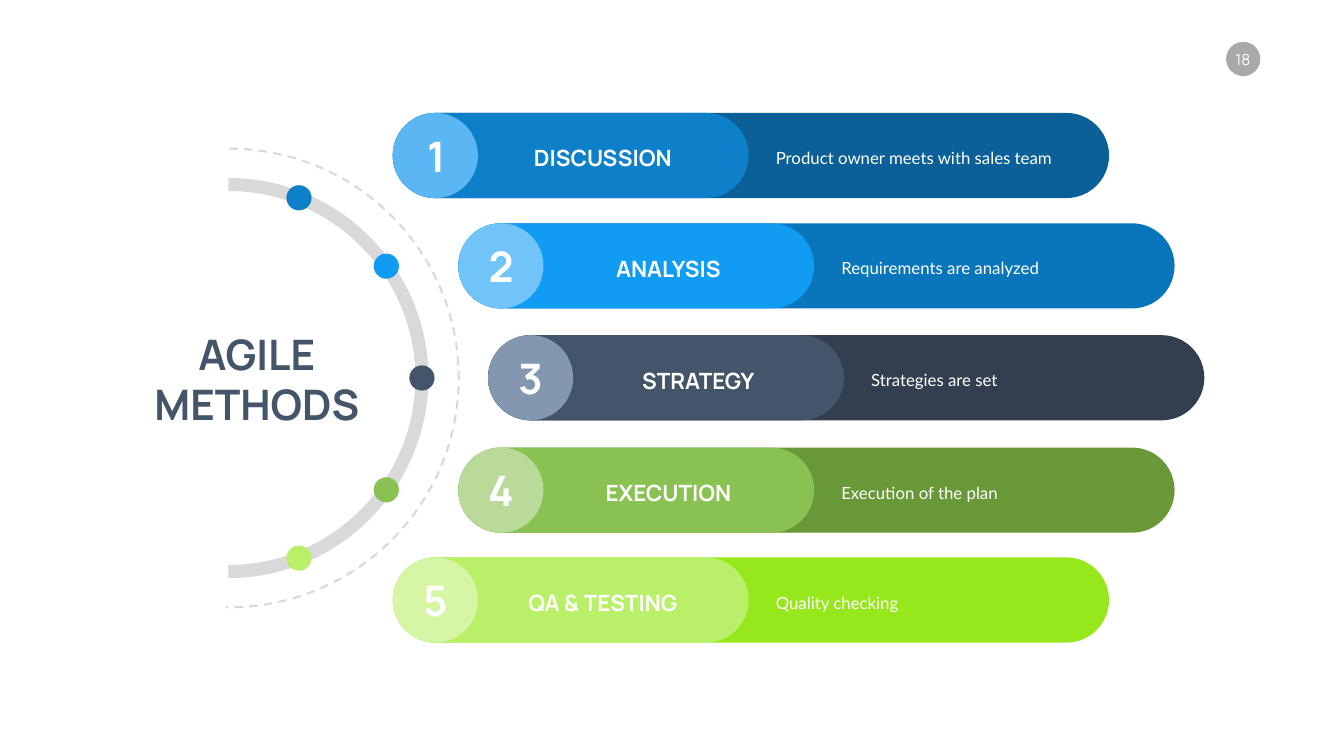
from math import cos, radians, sin

from lxml.etree import SubElement
from pptx import Presentation
from pptx.dml.color import RGBColor
from pptx.enum.dml import MSO_LINE as Dash
from pptx.enum.shapes import MSO_SHAPE as Kind
from pptx.enum.text import MSO_ANCHOR as Anchor, MSO_AUTO_SIZE as Fit, PP_ALIGN as Align
from pptx.oxml.ns import qn
from pptx.util import Pt

PX = 9144  # EMU per px, 100 px to the inch
HEAD, BODY = "Manrope", "Lato"
WHITE, GREY, SLATE = "FFFFFF", "D9D9D9", "445469"

MID_X, MID_Y = 453, 750  # centre of the ring
OUTER, INNER, TRACK = 397, 371, 384
BEND = 0.55  # handle length of a quarter circle
DOT = 50
PILL_W, TAB_W, PILL_H = 1421, 706, 169

# number and its width, title and its width, note, left, top, dot angle,
# colours of pill, tab and disc
STEPS = [
    ("1", 52, "DISCUSSION", 297, "Product owner meets with sales team",
     779, 224, -68.6, "0A6097", "0E80C9", "5AB7F3"),
    ("2", 68, "ANALYSIS", 240, "Requirements are analyzed",
     909, 443, -35.3, "0976BB", "119CF4", "70C4F8"),
    ("3", 71, "STRATEGY", 252, "Strategies are set",
     968, 665, 0, "333F4F", SLATE, "8497B0"),
    ("4", 77, "EXECUTION", 275, "Execution of the plan",
     909, 888, 35.3, "689837", "8AC153", "B9DA98"),
    ("5", 71, "QA & TESTING", 329, "Quality checking",
     779, 1106, 68.6, "96E71B", "BAEF69", "D6F5A5"),
]


def rgb(code):
    return RGBColor.from_string(code)


def polar(radius, angle):
    """Point on a circle round the ring's centre."""
    turn = radians(angle)
    return MID_X + radius * cos(turn), MID_Y + radius * sin(turn)


def half(radius):
    """Bezier points of the right half circle, from top to bottom."""
    grid = [(0, -1), (BEND, -1), (1, -BEND), (1, 0), (1, BEND), (BEND, 1), (0, 1)]
    return [(MID_X + radius * x, MID_Y + radius * y) for x, y in grid]


def bend(lines):
    """Turn three straight segments into one cubic curve."""
    curve = lines[0].makeelement(qn("a:cubicBezTo"))
    lines[0].addprevious(curve)
    for line in lines:
        curve.append(line[0])
        line.getparent().remove(line)


class Pen:
    """Holds the current slide and draws in px."""

    def __init__(self, slide):
        self.shapes = slide.shapes

    def paint(self, shape, fill):
        shape.shadow.inherit = False
        shape.fill.solid()
        shape.fill.fore_color.rgb = rgb(fill)
        shape.line.fill.background()

    def shape(self, kind, x, y, w, h, fill):
        item = self.shapes.add_shape(kind, *(round(v * PX) for v in (x, y, w, h)))
        self.paint(item, fill)
        return item

    def disc(self, x, y, size, fill):
        self.shape(Kind.OVAL, x, y, size, size, fill)

    def pill(self, x, y, w, fill):
        item = self.shape(Kind.ROUNDED_RECTANGLE, x, y, w, PILL_H, fill)
        item.adjustments[0] = 0.5

    def arc(self, x, y, size, start, end, color):
        """Dashed arc between two angles in degrees."""
        item = self.shapes.add_shape(Kind.ARC, x * PX, y * PX, size * PX, size * PX)
        item.shadow.inherit = False
        item.adjustments[0] = start * 0.6
        item.adjustments[1] = end * 0.6
        item.fill.background()
        item.line.color.rgb = rgb(color)
        item.line.width = Pt(3)
        item.line.dash_style = Dash.DASH

    def ring(self, fill):
        """Right half of a ring."""
        edge = half(OUTER) + half(INNER)[::-1]
        path = self.shapes.build_freeform(*edge[0], scale=PX)
        path.add_line_segments(edge[1:], close=True)
        item = path.convert_to_shape()
        lines = list(item.element.iter(qn("a:lnTo")))
        for i in (0, 3, 7, 10):  # segment 6 joins the two arcs
            bend(lines[i:i + 3])
        self.paint(item, fill)

    def text(self, x, y, w, h, lines, size, font=HEAD, color=WHITE, bold=False,
             align=Align.CENTER, wrap=False, lead=None, inset=True):
        box = self.shapes.add_textbox(*(round(v * PX) for v in (x, y, w, h)))
        frame = box.text_frame
        frame.word_wrap = wrap
        frame.auto_size = Fit.SHAPE_TO_FIT_TEXT
        frame.vertical_anchor = Anchor.MIDDLE
        if not inset:
            frame.margin_left = frame.margin_right = 0
            frame.margin_top = frame.margin_bottom = 0
        for i, line in enumerate(lines):
            para = frame.add_paragraph() if i else frame.paragraphs[0]
            para.alignment = align
            if lead:
                para.line_spacing = Pt(lead)
            run = para.add_run()
            run.text = line
            run.font.name = font
            run.font.size = Pt(size)
            run.font.bold = bold
            run.font.color.rgb = rgb(color)


def main():
    deck = Presentation()
    deck.slide_width, deck.slide_height = 2666 * PX, 1500 * PX
    pen = Pen(deck.slides.add_slide(deck.slide_layouts[6]))

    pen.disc(2432, 83, 68, "A9A8AB")
    pen.text(2443, 99, 45, 37, ["18"], 22, inset=False)

    pen.arc(0, 295, 910, 270, 90.89, GREY)
    pen.ring(GREY)

    for num, num_w, title, title_w, note, x, y, _, dark, main_fill, light in STEPS:
        pen.pill(x, y, PILL_W, dark)
        pen.pill(x, y, TAB_W, main_fill)
        pen.disc(x, y, PILL_H, light)
        pen.text(x + (PILL_H - num_w) / 2, y + 29, num_w, 111, [num], 60, bold=True)
        pen.text(x + 417 - title_w / 2, y + 49, title_w, 71, [title], 32,
                 bold=True, lead=45)
        pen.text(x + 750, y + 58, 623, 54, [note], 24, font=BODY,
                 align=Align.LEFT, wrap=True, lead=35)

    for *_, angle, _, fill, _ in STEPS:
        x, y = polar(TRACK, angle)
        pen.disc(x - DOT / 2, y - DOT / 2, DOT, fill)

    pen.text(293, 645, 433, 212, ["AGILE", "METHODS"], 60, color=SLATE, bold=True)
    deck.save("out.pptx")


if __name__ == "__main__":
    main()
